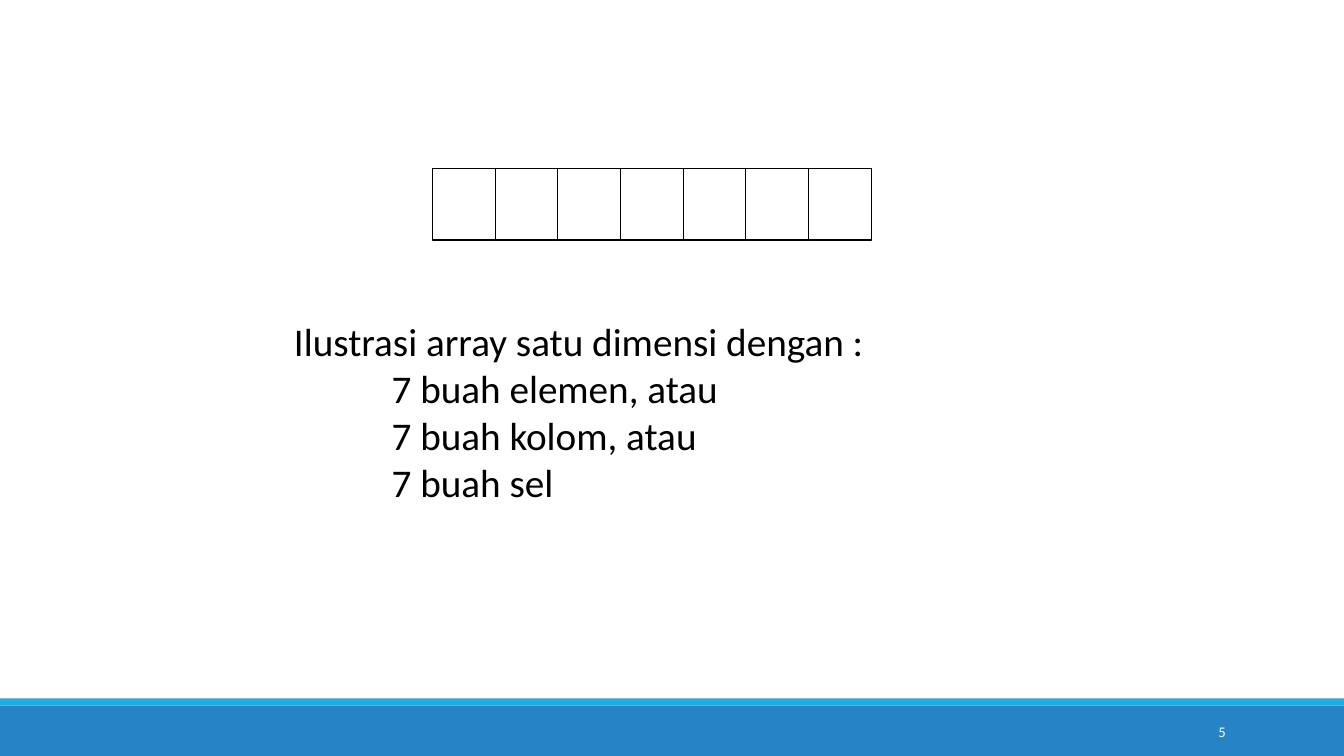
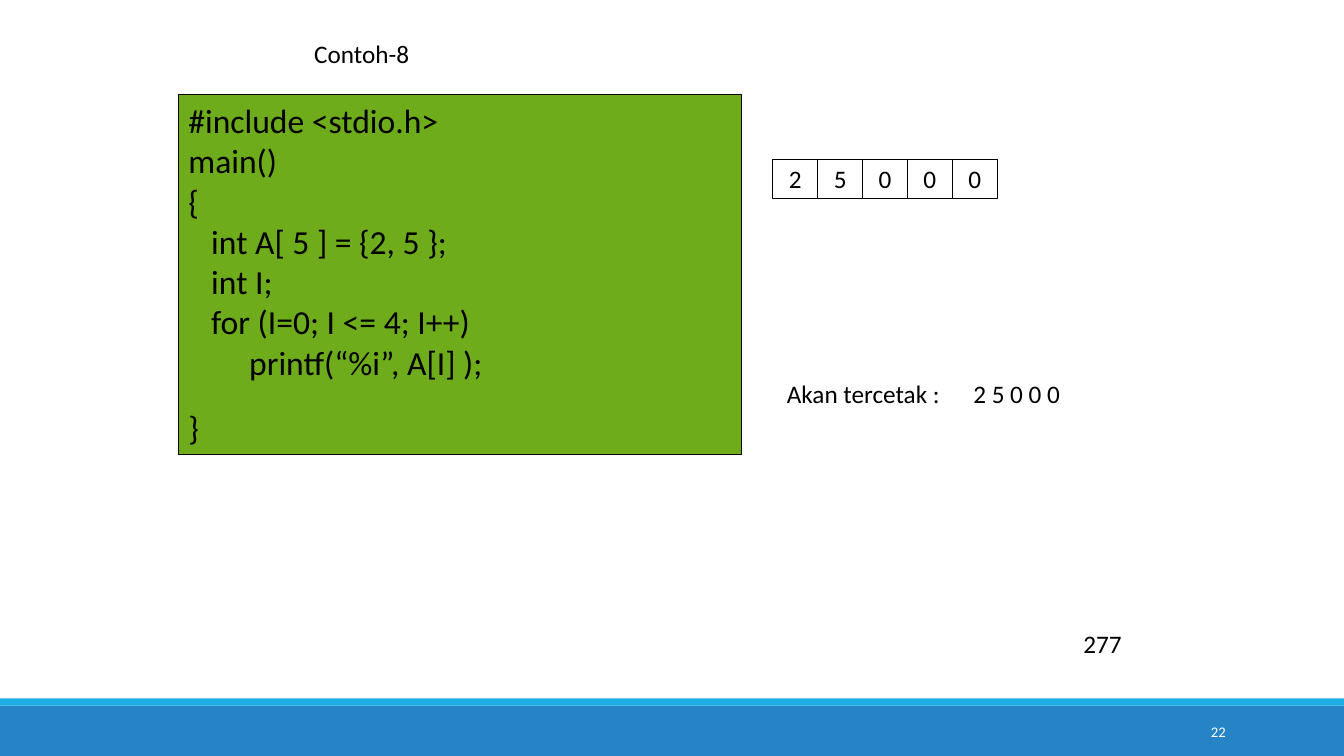
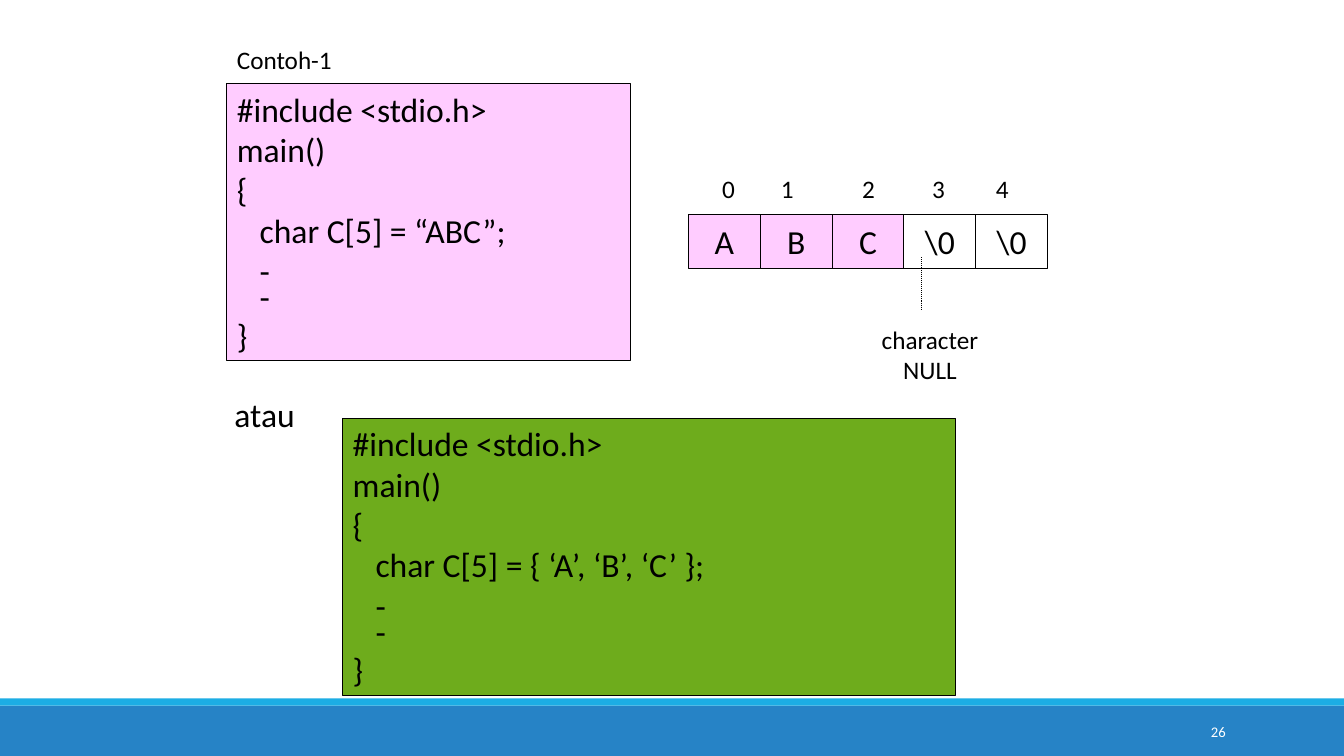
from lxml import etree
from pptx import Presentation
from pptx import util as u
from pptx.dml.color import RGBColor
from pptx.enum import dml, shapes, text
from pptx.oxml.ns import qn

BLACK, WHITE = "000000", "FFFFFF"
BLUE, CYAN = "2683C6", "1CADE4"
GREEN, PINK = "6EAC1C", "FFCCFF"
LEFT, CENTER, RIGHT = text.PP_ALIGN.LEFT, text.PP_ALIGN.CENTER, text.PP_ALIGN.RIGHT
TOP, MIDDLE = text.MSO_ANCHOR.TOP, text.MSO_ANCHOR.MIDDLE
GROW, FIXED = text.MSO_AUTO_SIZE.SHAPE_TO_FIT_TEXT, text.MSO_AUTO_SIZE.NONE


def rgb(value):
    return RGBColor.from_string(value)


def apply(obj, **values):
    for name, value in values.items():
        setattr(obj, name, value)


class Deck:
    width, height = 33.87, 19.05
    font = "Calibri"
    line_width = u.Pt(0.75)

    def __init__(self):
        self.prs = Presentation()
        apply(self.prs, slide_width=u.Cm(self.width), slide_height=u.Cm(self.height))
        self.s = None

    def slide(self, number):
        """Start a slide with its bands and page number."""
        self.s = self.prs.slides.add_slide(self.prs.slide_layouts[6])
        self.rect(0, 17.78, self.width, 1.27, BLUE, None)
        self.rect(0, 17.6, self.width, 0.18, CYAN, None)
        self.label(27.51, 17.93, 3.63, 1.02, [number], size=10.5, color=WHITE,
                   align=RIGHT, anchor=MIDDLE, wrap=True, fit=FIXED)

    def rect(self, x, y, w, h, fill=None, line=BLACK):
        sp = self.s.shapes.add_shape(shapes.MSO_SHAPE.RECTANGLE, *map(u.Cm, (x, y, w, h)))
        sp.shadow.inherit = False
        if fill:
            sp.fill.solid()
            sp.fill.fore_color.rgb = rgb(fill)
        else:
            sp.fill.background()
        if line:
            sp.line.color.rgb = rgb(line)
            sp.line.width = self.line_width
        else:
            sp.line.fill.background()
        return sp

    def fill_text(self, sp, lines, size=18, color=BLACK, align=LEFT, anchor=TOP,
                  wrap=False, fit=GROW):
        tf = sp.text_frame
        apply(tf, word_wrap=wrap, auto_size=fit, vertical_anchor=anchor)
        for i, line in enumerate(lines):
            p = tf.paragraphs[0] if i == 0 else tf.add_paragraph()
            p.alignment = align
            r = p.add_run()
            r.text = line
            apply(r.font, name=self.font, size=u.Pt(size))
            r.font.color.rgb = rgb(color)
        return tf.paragraphs

    def label(self, x, y, w, h, lines, **style):
        sp = self.s.shapes.add_textbox(*map(u.Cm, (x, y, w, h)))
        return self.fill_text(sp, lines, **style)

    def code(self, x, y, w, h, lines, fill):
        return self.fill_text(self.rect(x, y, w, h, fill), lines, size=24, wrap=True)

    def cells(self, x, y, w, h, values, size=18, fills=None):
        """Draw an array as a row of touching cells."""
        for i, value in enumerate(values):
            sp = self.rect(x + i * w, y, w, h, fills[i] if fills else None)
            if value:
                self.fill_text(sp, [value], size=size, align=CENTER, anchor=MIDDLE,
                               fit=FIXED)

    def tabs(self, p, stops):
        tab_list = etree.SubElement(p._p.get_or_add_pPr(), qn("a:tabLst"))
        for stop in stops:
            etree.SubElement(tab_list, qn("a:tab"), pos=str(u.Cm(stop)), algn="l")

    def dotted_line(self, x1, y1, x2, y2):
        c = self.s.shapes.add_connector(shapes.MSO_CONNECTOR.STRAIGHT,
                                        *map(u.Cm, (x1, y1, x2, y2)))
        c.line.color.rgb = rgb(BLACK)
        apply(c.line, width=self.line_width, dash_style=dml.MSO_LINE.ROUND_DOT)
        etree.SubElement(c._element.spPr, qn("a:effectLst"))


def main():
    deck = Deck()

    # One-dimensional array
    deck.slide("5")
    deck.cells(10.9, 4.24, 1.58, 1.81, [""] * 7)
    kinds = ["elemen, atau", "kolom, atau", "sel"]
    lines = ["Ilustrasi array satu dimensi dengan :"] + [f"7 buah {k}" for k in kinds]
    for p in deck.label(7.16, 7.87, 16.56, 5.05, lines, size=28, wrap=True)[1:]:
        p._p.get_or_add_pPr().set("marL", str(u.Cm(2.46)))

    # Partly initialised integers
    deck.slide("22")
    code = ["#include <stdio.h>", "main()", "{", "   int A[ 5 ] = {2, 5 };", "   int I;",
            "   for (I=0; I <= 4; I++)", "        printf(“%i”, A[I] );", "}"]
    deck.code(4.5, 2.39, 14.2, 9.07, code, GREEN)[-1].space_before = u.Pt(18)
    for x, y, w, label in [(19.58, 9.42, 4.7, "Akan tercetak :"),
                           (24.28, 9.42, 2.72, "2 5 0 0 0"),
                           (7.67, 0.84, 2.92, "Contoh-8"),
                           (27.05, 15.72, 1.5, "277")]:
        deck.label(x, y, w, 1.02, [label])
    deck.cells(19.48, 4.01, 1.13, 0.99, "25000")

    # Character array, written in two ways
    deck.slide("26")
    for x, y, w, value, fill in [(5.72, 2.11, 10.16, "“ABC”", PINK),
                                 (8.64, 10.54, 15.44, "{ ‘A’, ‘B’, ‘C’ }", GREEN)]:
        code = ["#include <stdio.h>", "main()", "{", f"   char C[5] = {value};",
                "   -", "   -", "}"]
        deck.code(x, y, w, 6.98, code, fill)[5].line_spacing = 0.6
    deck.label(5.72, 0.99, 2.92, 1.02, ["Contoh-1"])
    deck.label(5.66, 9.8, 2.06, 1.27, ["atau"], size=24)

    # Array cells with indexes and the NULL mark
    deck.cells(17.35, 5.41, 1.81, 1.35, ["A", "B", "C", "\\0", "\\0"], size=24,
               fills=[PINK] * 3 + [None] * 2)
    indexes = deck.label(17.53, 4.24, 8.76, 1.02, ["\t0\t1\t2\t3\t4"], wrap=True)
    deck.tabs(indexes[0], [0.42, 1.9, 3.95, 5.71, 7.32])
    deck.dotted_line(23.22, 6.48, 23.22, 7.82)
    deck.label(21.95, 8.05, 2.97, 1.8, ["character", "NULL"], align=CENTER)

    deck.prs.save("out.pptx")


if __name__ == "__main__":
    main()
